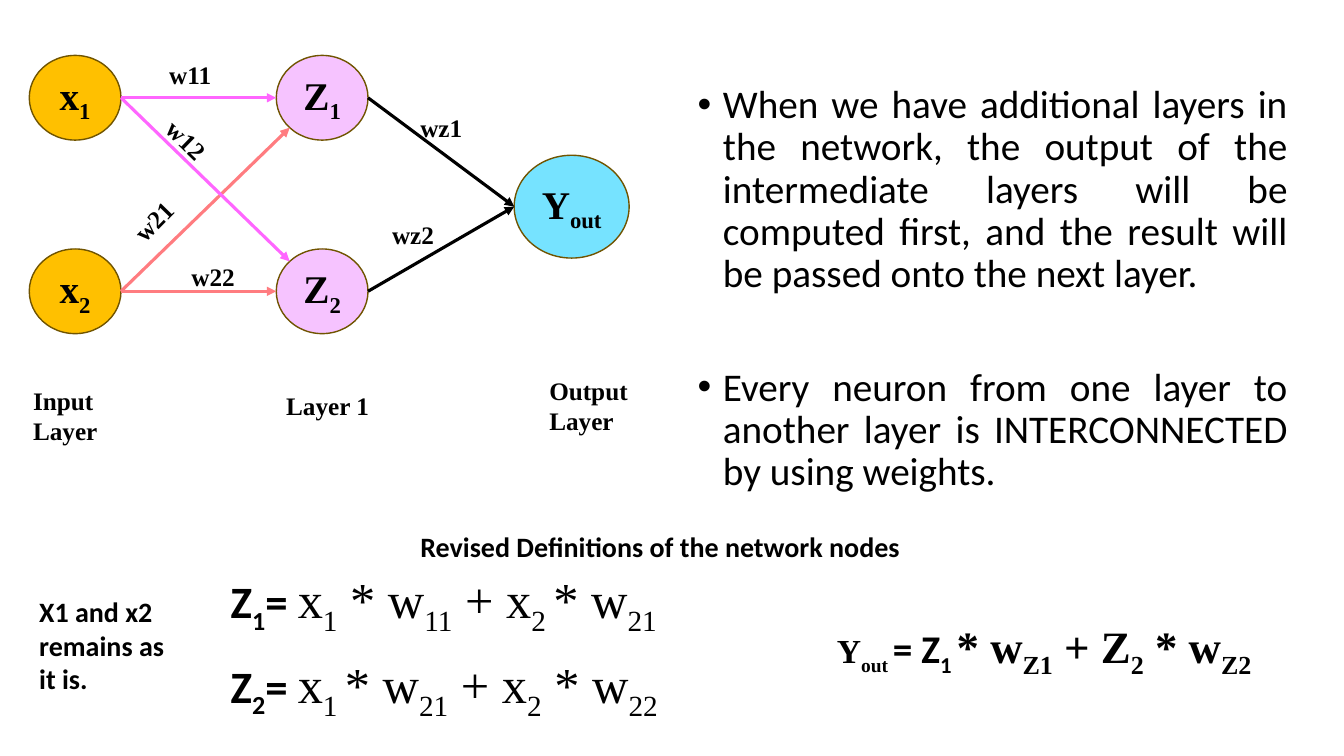
from dataclasses import dataclass
from math import sqrt

from lxml import etree
from pptx import Presentation
from pptx.dml.color import RGBColor
from pptx.enum.shapes import MSO_CONNECTOR, MSO_SHAPE
from pptx.enum.text import MSO_ANCHOR, MSO_AUTO_SIZE, PP_ALIGN
from pptx.oxml.ns import qn
from pptx.util import Inches, Pt

ELLIPSE = MSO_SHAPE.OVAL
STRAIGHT = MSO_CONNECTOR.STRAIGHT
MIDDLE = MSO_ANCHOR.MIDDLE
NO_AUTOFIT = MSO_AUTO_SIZE.NONE
LEFT, CENTER, JUSTIFY = PP_ALIGN.LEFT, PP_ALIGN.CENTER, PP_ALIGN.JUSTIFY


@dataclass(frozen=True)
class Theme:
    sans: str = "Calibri"
    serif: str = "Times New Roman"
    text: str = "000000"
    outline: str = "705400"
    input_fill: str = "FFC000"
    hidden_fill: str = "F6C3FF"
    output_fill: str = "76E3FF"
    from_x1: str = "FF66FF"
    from_x2: str = "FF7C80"
    label: int = 18
    note: int = 20
    small_term: int = 24
    body: int = 28
    medium_term: int = 32
    large_term: int = 36


@dataclass(frozen=True)
class Node:
    left: float
    top: float
    width: float
    height: float

    @property
    def middle(self):
        return self.top + self.height / 2

    @property
    def exit(self):
        return self.left + self.width, self.middle

    def entry(self, side):
        """Point on the left edge: side is -1 upper, 0 middle or 1 lower."""
        reach = sqrt(0.5) if side else 1
        return (self.left + self.width / 2 * (1 - reach),
                self.middle + side * self.height / 2 * sqrt(0.5))


class NetworkSlide:
    def __init__(self, slide, theme):
        self.slide = slide
        self.theme = theme

    def set_font(self, font, size, face, bold=True):
        font.size, font.name, font.bold = Pt(size), face, bold
        font.color.rgb = RGBColor.from_string(self.theme.text)

    def add_spans(self, para, markup):
        """Add runs, with the parts between underscores as subscripts."""
        spans = []
        for index, piece in enumerate(markup.split("_")):
            if piece:
                span = para.add_run()
                span.text = piece
                if index % 2:
                    span._r.get_or_add_rPr().set("baseline", "-25000")
                spans.append(span)
        return spans

    def body(self, area, items):
        """Fill the body placeholder with (text, space before) items."""
        box = self.slide.placeholders[1]
        box.left, box.top, box.width, box.height = map(Inches, area)
        frame = box.text_frame
        frame.auto_size = NO_AUTOFIT
        for index, (text, gap) in enumerate(items):
            para = frame.add_paragraph() if index else frame.paragraphs[0]
            para.text = text
            para.alignment = JUSTIFY
            para.line_spacing = 0.9
            para.space_before = Pt(gap)
            properties = para._p.get_or_add_pPr()
            properties.set("marL", str(Inches(0.25)))
            properties.set("indent", str(Inches(-0.25)))
            self.set_font(para.font, self.theme.body, self.theme.sans, False)

    def node(self, node, markup, fill):
        area = map(Inches, (node.left, node.top, node.width, node.height))
        shape = self.slide.shapes.add_shape(ELLIPSE, *area)
        shape.shadow.inherit = False
        shape.fill.solid()
        shape.fill.fore_color.rgb = RGBColor.from_string(fill)
        shape.line.color.rgb = RGBColor.from_string(self.theme.outline)
        shape.line.width = Pt(1)
        shape.text_frame.vertical_anchor = MIDDLE
        para = shape.text_frame.paragraphs[0]
        para.alignment = CENTER
        self.set_font(para.font, self.theme.body, self.theme.serif)
        self.add_spans(para, markup)

    def arrow(self, start, end, color):
        line = self.slide.shapes.add_connector(
            STRAIGHT, *map(Inches, (*start, *end)))
        line.line.color.rgb = RGBColor.from_string(color)
        line.line.width = Pt(2.25)
        etree.SubElement(line.line._get_or_add_ln(), qn("a:tailEnd"),
                         type="triangle")
        etree.SubElement(line._element.spPr, qn("a:effectLst"))

    def text_box(self, area, align=LEFT):
        box = self.slide.shapes.add_textbox(*map(Inches, area))
        box.text_frame.word_wrap = True
        para = box.text_frame.paragraphs[0]
        para.alignment = align
        return box, para

    def label(self, area, text, size, face, rotation=0):
        box, para = self.text_box(area)
        box.rotation = rotation
        para.text = text
        self.set_font(para.font, size, face)

    def formula(self, area, terms, align=LEFT):
        """Write (markup, size, face, bold) terms on one line."""
        para = self.text_box(area, align)[1]
        for markup, *style in terms:
            for span in self.add_spans(para, markup):
                self.set_font(span.font, *style)


def main():
    deck = Presentation()
    deck.slide_width, deck.slide_height = Inches(13.33), Inches(7.5)
    slide = deck.slides.add_slide(deck.slide_layouts[1])
    title = slide.shapes.title._element
    title.getparent().remove(title)
    theme = Theme()
    page = NetworkSlide(slide, theme)

    page.body((6.82, 0.79, 6.05, 4.2), [
        ("When we have additional layers in the network, the output of the "
         "intermediate layers will be computed first, and the result will "
         "be passed onto the next layer.", 0),
        ("Every neuron from one layer to another layer is INTERCONNECTED "
         "by using weights.", 50.5),
    ])

    rows = (0.55, 2.47)
    x1, x2 = [Node(0.29, top, 0.91, 0.84) for top in rows]
    z1, z2 = [Node(2.74, top, 0.91, 0.84) for top in rows]
    y_out = Node(5.1, 1.54, 1.14, 1.02)
    for node, markup, fill in [
        (x1, "x_1_", theme.input_fill), (x2, "x_2_", theme.input_fill),
        (z1, "Z_1_", theme.hidden_fill), (z2, "Z_2_", theme.hidden_fill),
        (y_out, "Y_out_", theme.output_fill),
    ]:
        page.node(node, markup, fill)

    for source, target, side, color in [
        (x1, z1, 0, theme.from_x1), (x2, z1, 1, theme.from_x2),
        (x1, z2, -1, theme.from_x1), (x2, z2, 0, theme.from_x2),
        (z1, y_out, 0, theme.text), (z2, y_out, 0, theme.text),
    ]:
        page.arrow(source.exit, target.entry(side), color)

    for text, left, top, rotation in [
        ("w11", 1.58, 0.54, 0), ("w12", 1.53, 1.2, 44.1),
        ("w22", 1.8, 2.54, 0), ("w21", 1.2, 1.98, 314.3),
        ("wz1", 4.07, 1.07, 0), ("wz2", 3.79, 2.13, 0),
    ]:
        page.label((left, top, 0.67, 0.4), text, theme.label, theme.serif,
                   rotation)

    for text, left, top, height in [
        ("Layer 1", 2.74, 3.82, 0.4), ("Input Layer", 0.23, 3.77, 0.71),
        ("Output Layer", 5.35, 3.67, 0.71),
    ]:
        page.label((left, top, 1.04, height), text, theme.label, theme.serif)

    page.label((4.07, 5.2, 6.67, 0.44),
               "Revised Definitions of the network nodes",
               theme.note, theme.sans)
    page.label((0.29, 5.85, 1.44, 1.11), "X1 and x2 remains as it is.",
               theme.note, theme.sans)

    # Wider gaps in the formulas are single en spaces.
    for top, name, total in [
        (5.59, "Z_1_= ", "x_1_ * w_11_ + x_2 _* w_21_"),
        (6.43, "Z_2_= ", "x_1 _* w_21_ + x_2_ * w_22_"),
    ]:
        page.formula((2.19, top, 5.82, 0.71), [
            (name, theme.medium_term, theme.sans, True),
            (total, theme.large_term, theme.serif, False),
        ])
    page.formula((7.84, 6.09, 5.03, 0.64), [
        ("Y_out _", theme.small_term, theme.serif, True),
        ("= Z_1 _", theme.body, theme.sans, True),
        ("* w_Z1_ + Z_2_ * w_Z2_", theme.medium_term, theme.serif, True),
    ], CENTER)

    deck.save("out.pptx")


if __name__ == "__main__":
    main()
